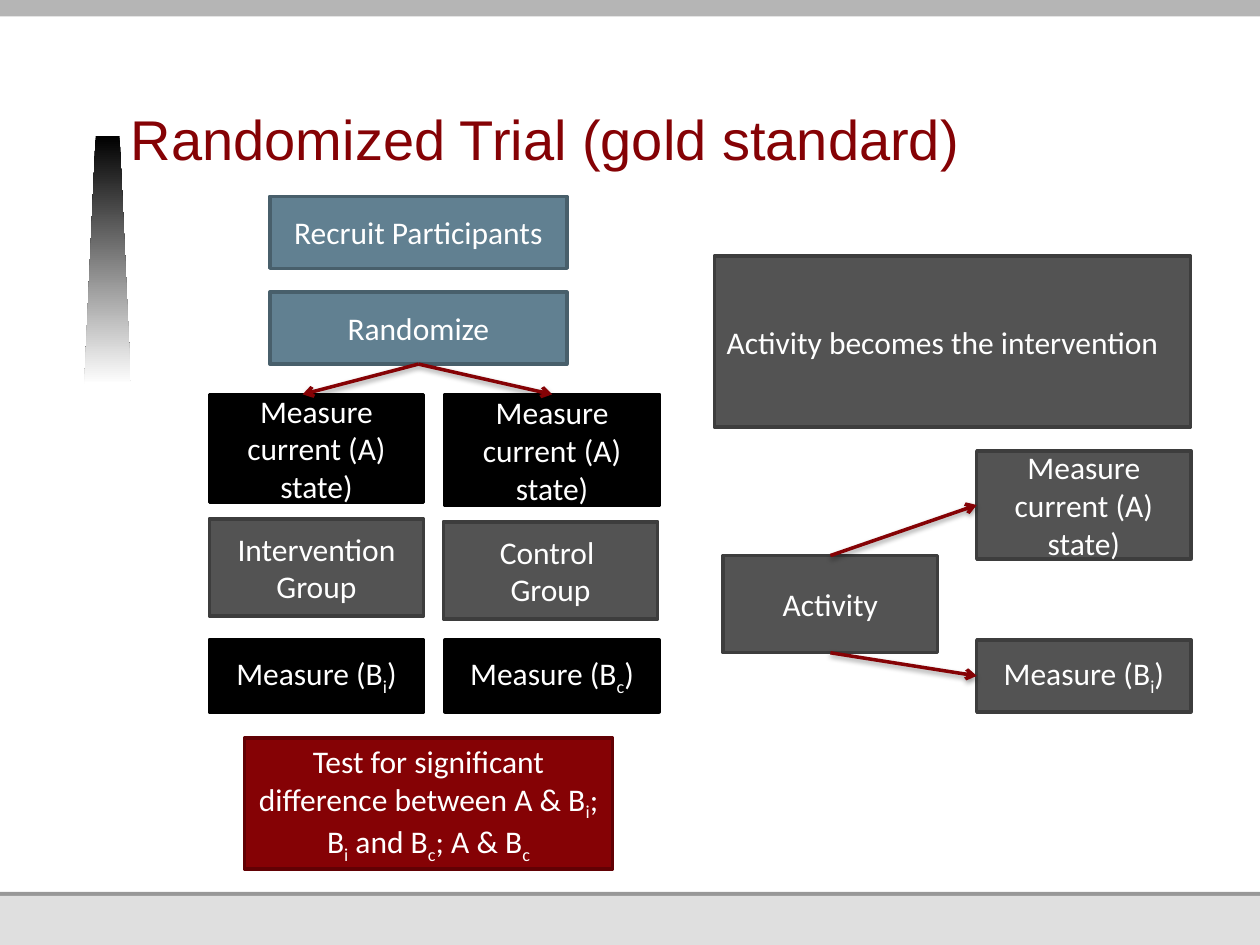
from lxml import etree
from pptx import Presentation
from pptx import util as u
from pptx.dml.color import RGBColor
from pptx.enum import shapes, text
from pptx.oxml import parse_xml
from pptx.oxml.ns import nsdecls, qn
from pptx.util import Cm

COLORS = {
    "white": "FFFFFF",
    "black": "000000",
    "slate": "618091",
    "slate edge": "485F6B",
    "gray": "535353",
    "gray edge": "3D3D3D",
    "red": "850205",
    "red edge": "620104",
    "top band": "B5B5B5",
    "rule": "989898",
    "footer": "DFDFDF",
}
EDGES = {"slate": "slate edge", "gray": "gray edge", "red": "red edge", "black": "black"}

LEFT, MIDDLE, RIGHT = 4.22, 8.97, 19.69  # columns of the flow chart
BOX_WIDTH, STEP_HEIGHT, GROUP_HEIGHT = 4.32, 1.45, 1.96
MEASURE_A = "Measure current (A) state)"
TOP, LEFT_SIDE, BOTTOM = 0, 1, 2

SHADOW = f"""<a:effectLst {nsdecls("a")}>
  <a:outerShdw blurRad="39370" dist="20320" dir="5400000" rotWithShape="0">
    <a:srgbClr val="{COLORS["black"]}"><a:alpha val="38000"/></a:srgbClr>
  </a:outerShdw>
</a:effectLst>"""


def rgb(name):
    return RGBColor.from_string(COLORS[name])


def add_rectangle(slide, left, top, width, height, color):
    shape = slide.shapes.add_shape(
        shapes.MSO_SHAPE.RECTANGLE, Cm(left), Cm(top), Cm(width), Cm(height))
    shape.shadow.inherit = False
    shape.fill.solid()
    shape.fill.fore_color.rgb = rgb(color)
    shape.line.fill.background()
    return shape


def write_with_subscripts(paragraph, wording):
    """Write the wording; the letter after each underscore is a subscript."""
    first, *others = wording.split("_")
    paragraph.text = first
    for part in others:
        subscript = paragraph.add_run()
        subscript.text = part[0]
        subscript.font._element.set("baseline", "-25000")
        if part[1:]:
            paragraph.add_run().text = part[1:]


def add_box(slide, wording, left, top, width, height, color, align=text.PP_ALIGN.CENTER):
    shape = add_rectangle(slide, left, top, width, height, color)
    shape.line.color.rgb = rgb(EDGES[color])
    shape.line.width = u.Pt(2)
    frame = shape.text_frame
    frame.word_wrap = True
    frame.vertical_anchor = text.MSO_ANCHOR.MIDDLE
    paragraph = frame.paragraphs[0]
    write_with_subscripts(paragraph, wording)
    paragraph.alignment = align
    paragraph.font.name = "Calibri"
    paragraph.font.size = u.Pt(18)
    paragraph.font.color.rgb = rgb("white")
    return shape


def add_arrow(slide, source, source_side, target=None, target_side=None, end=(0, 0)):
    """Join two boxes, or lead from one box to a free end point."""
    connector = slide.shapes.add_connector(
        shapes.MSO_CONNECTOR.STRAIGHT, 0, 0, Cm(end[0]), Cm(end[1]))
    connector.begin_connect(source, source_side)
    if target is not None:
        connector.end_connect(target, target_side)
    connector.line.color.rgb = rgb("red")
    connector.line.width = u.Pt(2)
    properties = connector.element.spPr
    etree.SubElement(properties.find(qn("a:ln")), qn("a:tailEnd"), type="arrow")
    properties.append(parse_xml(SHADOW))


def add_backdrop(slide):
    add_rectangle(slide, 0, 0, 25.4, 0.33, "top band")
    add_rectangle(slide, 0, 17.98, 25.4, 0.08, "rule")
    add_rectangle(slide, 0, 18.06, 25.4, 0.99, "footer")
    builder = slide.shapes.build_freeform(Cm(1.7), Cm(7.75))
    builder.add_line_segments(
        [(Cm(1.93), Cm(2.74)), (Cm(2.41), Cm(2.74)), (Cm(2.64), Cm(7.75))], close=True)
    beam = builder.convert_to_shape()
    beam.shadow.inherit = False
    beam.line.fill.background()
    beam.fill.gradient()
    beam.fill.gradient_angle = 270
    for stop, color in zip(beam.fill.gradient_stops, ("black", "white")):
        stop.color.rgb = rgb(color)


def set_title(slide, wording):
    title = slide.shapes.title
    title.left, title.top, title.width, title.height = Cm(2.64), Cm(0.86), Cm(22.76), Cm(2.74)
    frame = title.text_frame
    frame.auto_size = text.MSO_AUTO_SIZE.NONE
    frame.vertical_anchor = text.MSO_ANCHOR.BOTTOM
    frame.margin_left = frame.margin_right = frame.margin_top = 0
    frame.margin_bottom = Cm(0.13)
    paragraph = frame.paragraphs[0]
    paragraph.text = wording
    paragraph.alignment = text.PP_ALIGN.LEFT
    paragraph.line_spacing = u.Pt(34)
    paragraph.font.name = "Arial"
    paragraph.font.size = u.Pt(32)
    paragraph.font.color.rgb = rgb("red")


def add_trial_flow(slide):
    add_box(slide, "Recruit Participants", 5.44, 3.96, 5.99, STEP_HEIGHT, "slate")
    randomize = add_box(slide, "Randomize", 5.44, 5.89, 5.99, STEP_HEIGHT, "slate")
    add_box(slide, MEASURE_A, LEFT, 7.95, BOX_WIDTH, 2.18, "black")
    control_start = add_box(slide, MEASURE_A, MIDDLE, 7.95, BOX_WIDTH, 2.24, "black")
    add_box(slide, "Intervention Group", LEFT, 10.46, BOX_WIDTH, GROUP_HEIGHT, "gray")
    add_box(slide, "Control \nGroup", 8.94, 10.52, BOX_WIDTH, GROUP_HEIGHT, "gray")
    for left, group in ((LEFT, "i"), (MIDDLE, "c")):
        add_box(slide, f"Measure (B_{group})", left, 12.9, BOX_WIDTH, STEP_HEIGHT, "black")
    add_box(slide, "Test for significant difference between A & B_i; B_i and B_c; A & B_c",
            4.93, 14.88, 7.42, 2.64, "red")
    add_arrow(slide, randomize, BOTTOM, end=(6.1, 7.95))
    add_arrow(slide, randomize, BOTTOM, control_start, TOP)


def add_activity_flow(slide):
    add_box(slide, "Activity becomes the intervention", 14.4, 5.16, 9.6, 3.45, "gray",
            text.PP_ALIGN.LEFT)
    activity = add_box(slide, "Activity", 14.58, 11.2, BOX_WIDTH, GROUP_HEIGHT, "gray")
    before = add_box(slide, MEASURE_A, RIGHT, 9.09, BOX_WIDTH, 2.18, "gray")
    after = add_box(slide, "Measure (B_i)", RIGHT, 12.9, BOX_WIDTH, STEP_HEIGHT, "gray")
    add_arrow(slide, activity, TOP, before, LEFT_SIDE)
    add_arrow(slide, activity, BOTTOM, after, LEFT_SIDE)


def main():
    presentation = Presentation()
    presentation.slide_width, presentation.slide_height = Cm(25.4), Cm(19.05)
    slide = presentation.slides.add_slide(presentation.slide_layouts[5])
    set_title(slide, "Randomized Trial (gold standard)")
    add_backdrop(slide)
    add_trial_flow(slide)
    add_activity_flow(slide)
    presentation.save("out.pptx")


if __name__ == "__main__":
    main()
